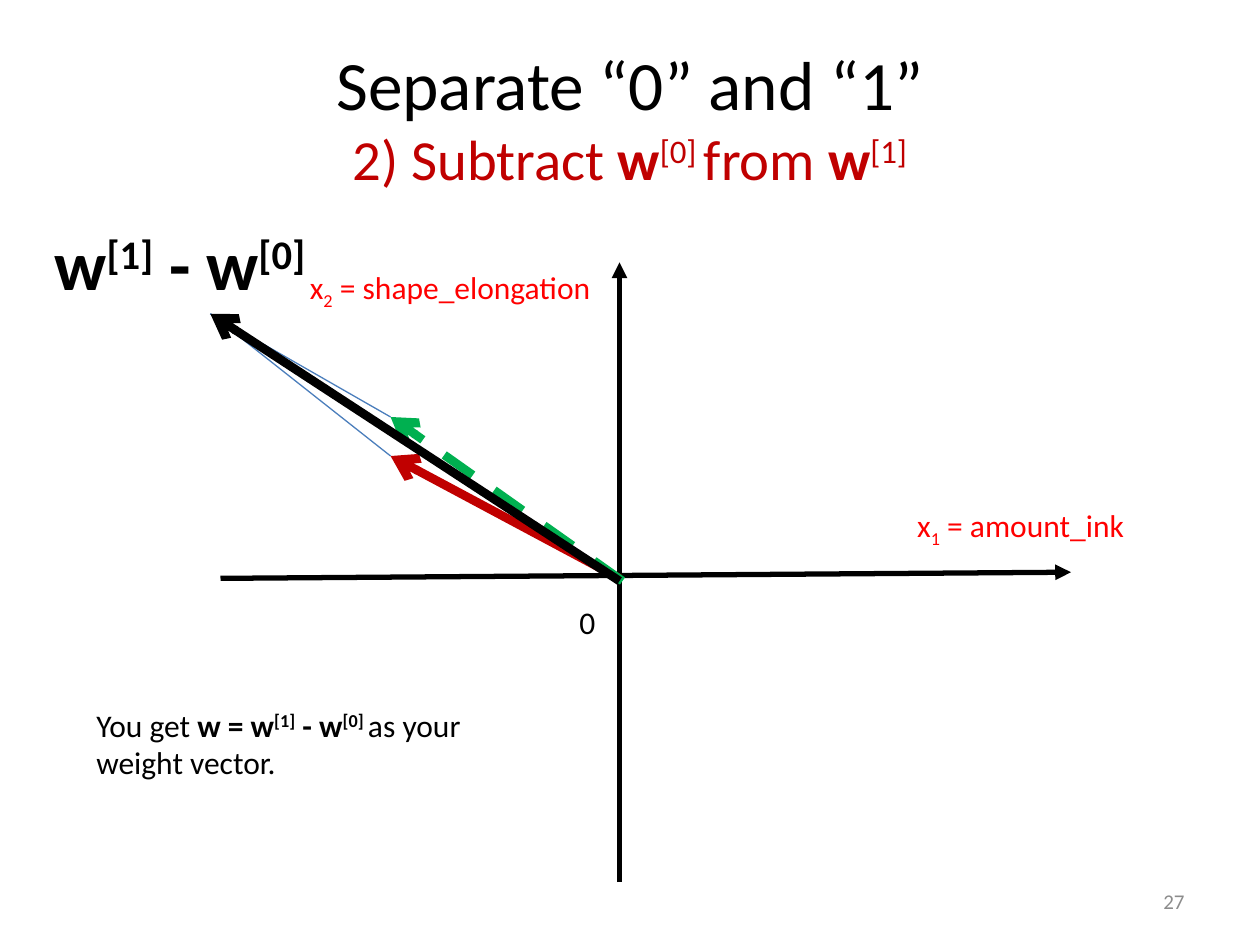
from lxml.etree import SubElement
from pptx import Presentation
from pptx.dml.color import RGBColor
from pptx.enum.dml import MSO_LINE_DASH_STYLE as Dash
from pptx.enum.shapes import MSO_CONNECTOR as Connector
from pptx.enum.text import MSO_ANCHOR as Anchor, MSO_AUTO_SIZE as AutoSize, PP_ALIGN as Align
from pptx.oxml.ns import qn
from pptx.util import Pt

BLACK = RGBColor(0x00, 0x00, 0x00)
RED = RGBColor(0xFF, 0x00, 0x00)
DARK_RED = RGBColor(0xC0, 0x00, 0x00)
GREEN = RGBColor(0x00, 0xB0, 0x50)
BLUE = RGBColor(0x4B, 0x7E, 0xBC)
GRAY = RGBColor(0x8C, 0x8C, 0x8C)

SUPER, SUB = 30000, -25000


class Slide:
    """Holds the style and the current page."""

    font = "Calibri"

    def __init__(self, page):
        self.page = page

    def add_spans(self, para, spans, size, color):
        """Add (text, bold, baseline) spans to a paragraph."""
        for text, bold, baseline in spans:
            span = para.add_run()
            span.text = text
            span.font.name = self.font
            span.font.size = Pt(size)
            span.font.color.rgb = color
            span.font.bold = bold
            if baseline:
                span.font._element.set("baseline", str(baseline))

    def title(self, place, heading, subheading):
        box = self.page.shapes.title
        box.left, box.top, box.width, box.height = map(Pt, place)
        box.text_frame.vertical_anchor = Anchor.MIDDLE
        para = box.text_frame.paragraphs[0]
        para.alignment = Align.CENTER
        self.add_spans(para, heading, 39.6, BLACK)
        para.add_line_break()
        self.add_spans(para, subheading, 32.4, DARK_RED)

    def label(self, place, spans, size=18, color=BLACK, wrap=False,
              align=Align.LEFT, anchor=Anchor.TOP):
        box = self.page.shapes.add_textbox(*map(Pt, place))
        frame = box.text_frame
        frame.word_wrap = wrap
        frame.auto_size = AutoSize.NONE if anchor == Anchor.MIDDLE else AutoSize.SHAPE_TO_FIT_TEXT
        frame.vertical_anchor = anchor
        frame.paragraphs[0].alignment = align
        self.add_spans(frame.paragraphs[0], spans, size, color)

    def line(self, start, end, color, width, head=None, dash=None):
        line = self.page.shapes.add_connector(
            Connector.STRAIGHT, *map(Pt, (*start, *end)))
        line.line.color.rgb = color
        line.line.width = Pt(width)
        if dash:
            line.line.dash_style = dash
        properties = line._element.spPr
        if head:
            SubElement(properties.find(qn("a:ln")), qn("a:tailEnd"), type=head)
        SubElement(properties, qn("a:effectLst"))


def main():
    deck = Presentation()
    deck.slide_width, deck.slide_height = Pt(720), Pt(540)
    slide = Slide(deck.slides.add_slide(deck.slide_layouts[5]))

    # Title
    slide.title(
        (36, 21.6, 648, 90),
        [("Separate “0” and “1”", False, 0)],
        [("2) Subtract ", False, 0), ("w", True, 0), ("[0] ", False, SUPER),
         ("from ", False, 0), ("w", True, 0), ("[1]", False, SUPER)])

    # Axes and their labels
    slide.line((126, 330.5), (612, 327), BLACK, 3, "triangle")
    slide.line((354, 504), (354, 150), BLACK, 3, "triangle")
    slide.label((324, 341.3, 23.8, 29), [("0", False, 0)])
    slide.label((517, 285.8, 139.7, 29),
                [("x", False, 0), ("1", False, SUB), (" = amount_ink", False, 0)], color=RED)
    slide.label((170, 149.8, 177.8, 29),
                [("x", False, 0), ("2", False, SUB), (" = shape_elongation", False, 0)], color=RED)

    # Vectors: the two terms, the parallelogram sides, and the difference
    red_tip, green_tip, difference_tip = (223.2, 260.6), (223.2, 238.3), (120.2, 179.3)
    slide.line((354, 330.5), red_tip, DARK_RED, 5, "arrow")
    slide.line((355.7, 332), green_tip, GREEN, 5, "arrow", Dash.DASH)
    for tip in (red_tip, green_tip):
        slide.line(tip, difference_tip, BLUE, 0.75)
    slide.line((354, 332), difference_tip, BLACK, 5, "arrow")

    # Name of the difference and the conclusion
    slide.label((24, 122.4, 176.4, 55.7),
                [("w", True, 0), ("[1]", True, SUPER), (" - w", True, 0), ("[0]", True, SUPER)],
                size=40)
    slide.label((48, 399.6, 224, 51),
                [("You get ", False, 0), ("w = w", True, 0), ("[1]", True, SUPER),
                 (" - w", True, 0), ("[0] ", True, SUPER),
                 ("as your weight vector.", False, 0)], wrap=True)

    # Page number
    slide.label((516, 500.5, 168, 28.8), [("27", False, 0)], size=12, color=GRAY,
                wrap=True, align=Align.RIGHT, anchor=Anchor.MIDDLE)

    deck.save("out.pptx")


if __name__ == "__main__":
    main()
